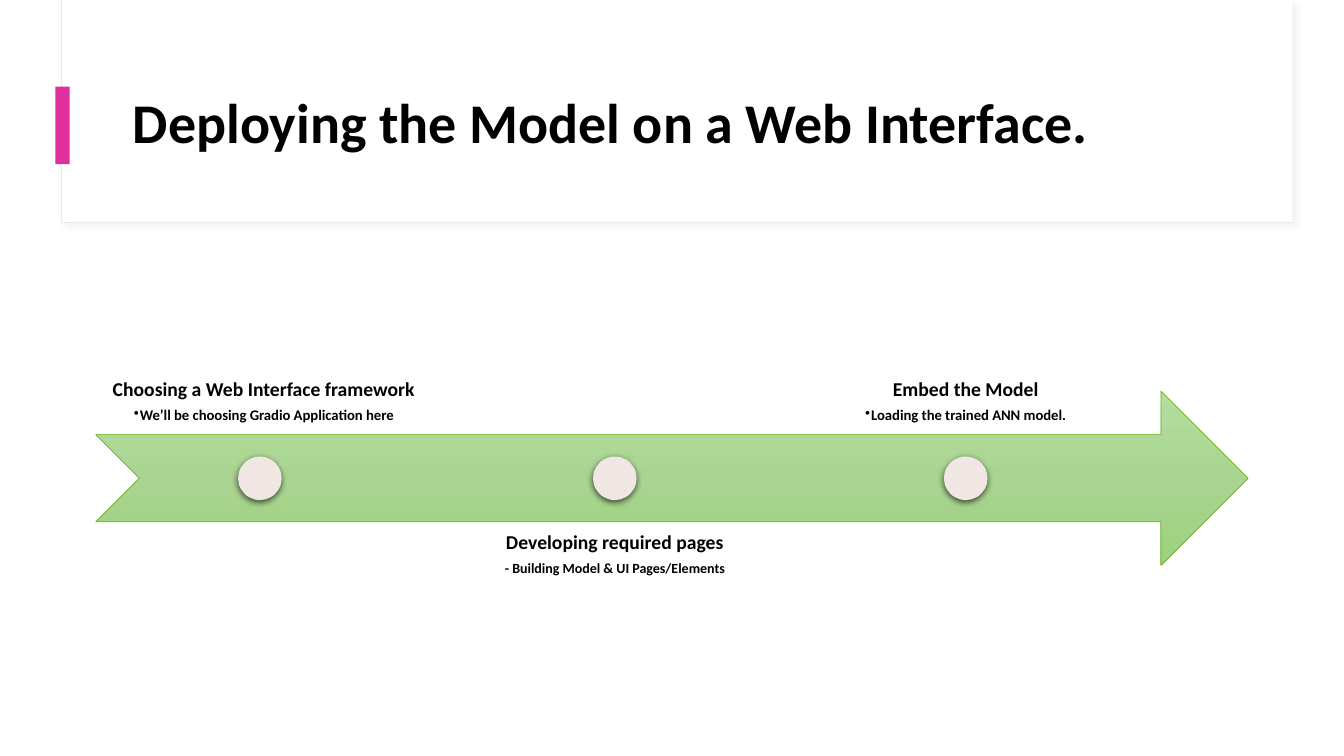
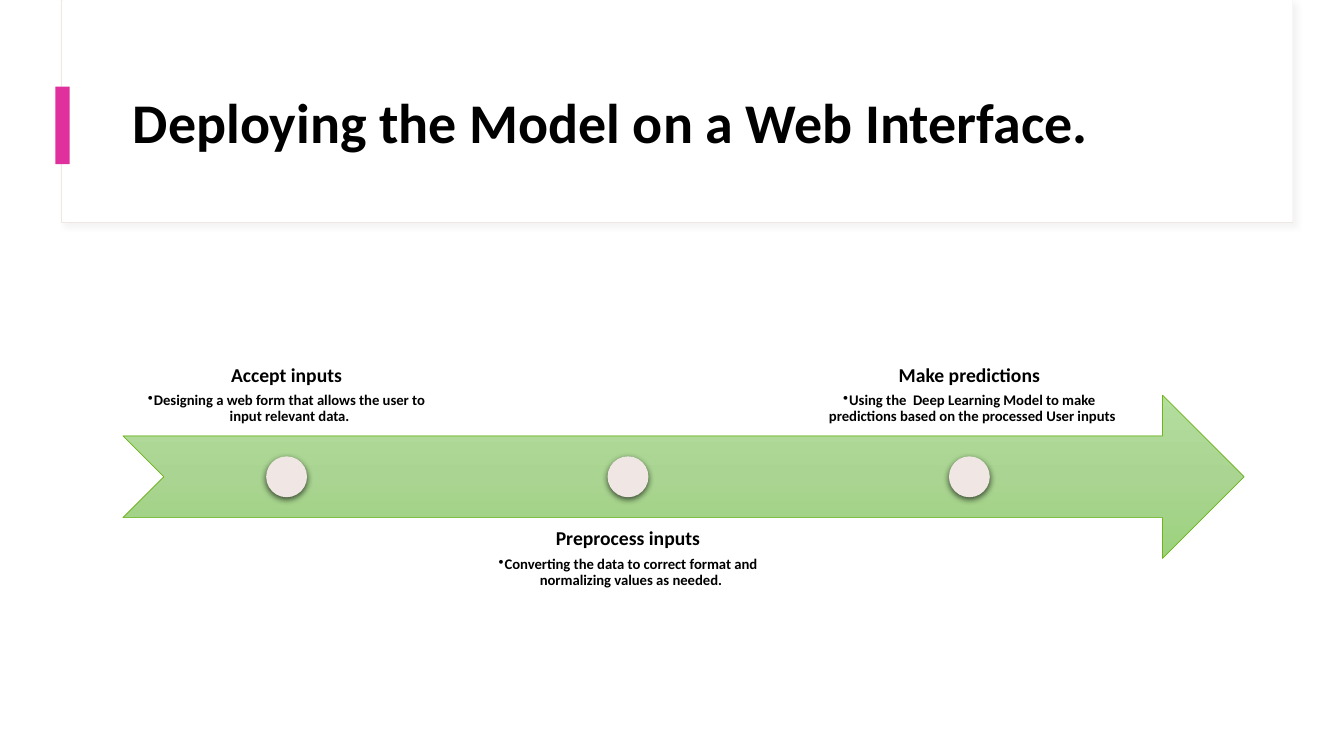
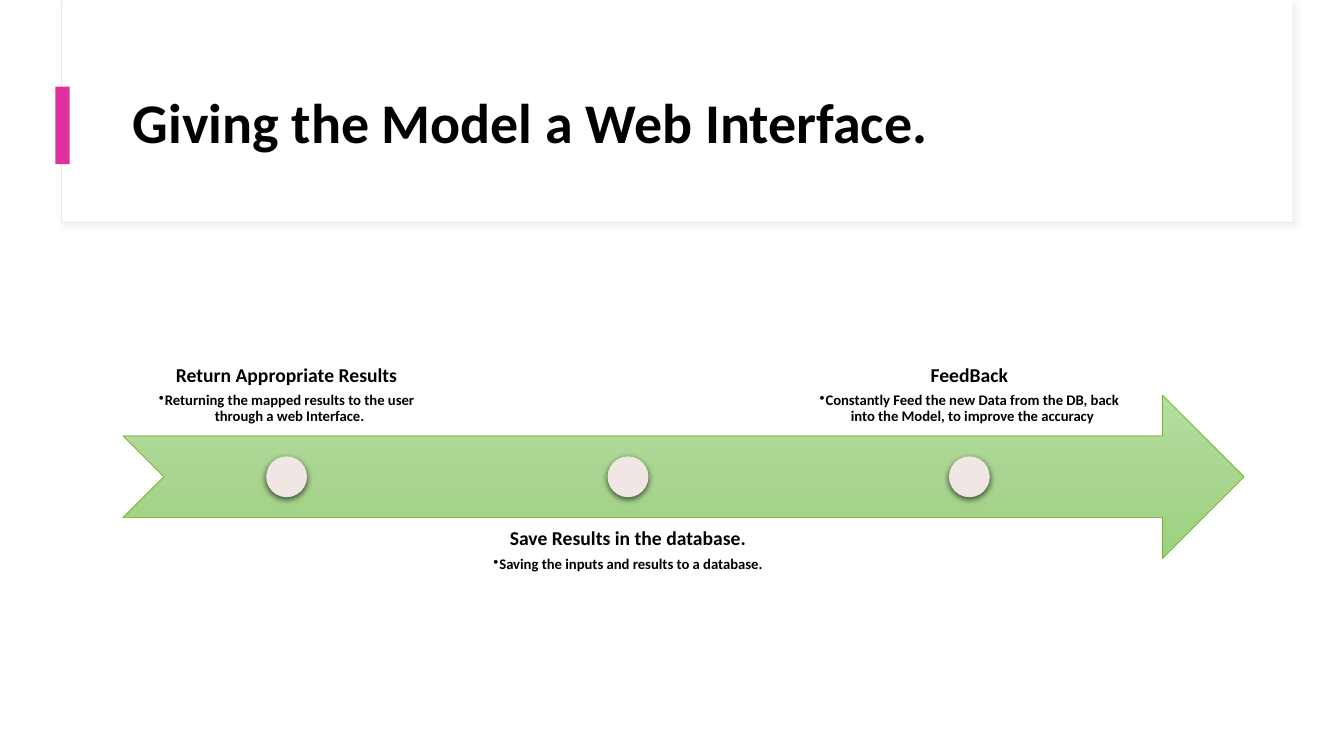
import copy

import lxml.etree
import pptx
import pptx.dml.color
import pptx.enum.shapes
import pptx.enum.text
import pptx.oxml
import pptx.oxml.ns
import pptx.util

Inches = pptx.util.Inches
Pt = pptx.util.Pt
SHAPE = pptx.enum.shapes.MSO_SHAPE
ANCHOR = pptx.enum.text.MSO_ANCHOR
ALIGN = pptx.enum.text.PP_ALIGN
qn = pptx.oxml.ns.qn


def colour(value):
    return pptx.dml.color.RGBColor.from_string(value)


class Deck:
    FONT = "Calibri"
    TEXT = "000000"
    PAPER = "FFFFFF"
    ACCENT = "E0309E"
    PALE = "F0E7E5"
    ARROW_STOPS = ("B4DE9E", "A9D491", "9CD27D")
    ARROW_LINE = "6EB51B"

    def __init__(self):
        self.deck = pptx.Presentation()
        self.deck.slide_width = Inches(13.33)
        self.deck.slide_height = Inches(7.5)
        self.page = None

    # Basic elements
    def shape(self, kind, left, top, width, height, fill=None, line=None, weight=0.75):
        shape = self.page.shapes.add_shape(
            kind, Inches(left), Inches(top), Inches(width), Inches(height))
        shape.shadow.inherit = False
        if fill:
            shape.fill.solid()
            shape.fill.fore_color.rgb = colour(fill)
        if line:
            shape.line.color.rgb = colour(line)
            shape.line.width = Pt(weight)
        else:
            shape.line.fill.background()
        return shape

    def shadow(self, shape, tone, opacity, blur, distance, angle):
        effects = shape._element.spPr.find(qn("a:effectLst"))
        outer = lxml.etree.SubElement(
            effects, qn("a:outerShdw"), blurRad=str(Pt(blur)), dist=str(Pt(distance)),
            dir=str(angle * 60000), algn="ctr", rotWithShape="0")
        tint = lxml.etree.SubElement(outer, qn("a:srgbClr"), val=tone)
        lxml.etree.SubElement(tint, qn("a:alpha"), val=str(opacity * 1000))

    def text_box(self, left, top, width, height, anchor, inset):
        box = self.page.shapes.add_textbox(
            Inches(left), Inches(top), Inches(width), Inches(height))
        frame = box.text_frame
        frame.word_wrap = True
        frame.vertical_anchor = anchor
        frame.margin_left = frame.margin_right = Inches(inset)
        frame.margin_top = frame.margin_bottom = Inches(inset)
        return frame

    def add_text(self, para, text, size, align=ALIGN.LEFT, after=0, bullet=False):
        para.alignment = align
        para.line_spacing = 0.9
        para.space_after = Pt(after)
        if bullet:
            props = para._p.get_or_add_pPr()
            props.set("marL", str(Inches(0.06)))
            props.set("indent", str(Inches(-0.06)))
            lxml.etree.SubElement(props, qn("a:buChar"), char="•")
        span = para.add_run()
        span.text = text
        span.font.name = self.FONT
        span.font.size = Pt(size)
        span.font.bold = True
        span.font.color.rgb = colour(self.TEXT)

    # Page with the framed title
    def new_page(self, title):
        self.page = self.deck.slides.add_slide(self.deck.slide_layouts[6])
        self.page.background.fill.solid()
        self.page.background.fill.fore_color.rgb = colour(self.PAPER)
        frame = self.shape(SHAPE.RECTANGLE, 0.61, 0, 12.21, 2.21, self.PAPER, self.PALE)
        self.shadow(frame, "D9D9D9", 30, 4, 3, 45)
        self.shape(SHAPE.RECTANGLE, 0.62, 0, 12.2, 2.2, self.PAPER)
        self.shape(SHAPE.RECTANGLE, 0.55, 0.86, 0.14, 0.77, self.ACCENT)
        heading = self.text_box(1.22, 0.6, 11.12, 1.29, ANCHOR.MIDDLE, 0.1)
        self.add_text(heading.paragraphs[0], title, 40)

    # Timeline parts
    def arrow(self, left, top, width, height):
        arrow = self.shape(SHAPE.NOTCHED_RIGHT_ARROW, left, top, width, height,
                           line=self.ARROW_LINE, weight=0.5)
        arrow.fill.gradient()
        arrow.fill.gradient_angle = 270
        first = arrow._element.spPr.find(".//" + qn("a:gs"))
        first.addnext(copy.deepcopy(first))
        first.getnext().set("pos", "50000")
        for stop, tone in zip(arrow.fill.gradient_stops, self.ARROW_STOPS):
            stop.color.rgb = colour(tone)

    def label(self, left, top, width, height, anchor, heading, detail, bullet):
        frame = self.text_box(left, top, width, height, anchor, 0.11)
        self.add_text(frame.paragraphs[0], heading, 14, ALIGN.CENTER, after=4.9)
        self.add_text(frame.add_paragraph(), detail, 10.5 if bullet else 10,
                      ALIGN.CENTER, after=1.6 if bullet else 3.5, bullet=bullet)

    def dot(self, centre, middle, size):
        dot = self.shape(SHAPE.OVAL, centre - size / 2, middle - size / 2,
                         size, size, self.PALE)
        self.shadow(dot, "000000", 63, 4.5, 1.5, 90)

    def timeline(self, left, top, width, height, steps, first_shift=0):
        """Labels alternate above and below the shaft, one dot for each."""
        self.arrow(left, top, width, height)
        label_width = 0.29 * width
        for index, (heading, detail, bullet) in enumerate(steps):
            label_left = left + 0.01 + index * 1.05 * label_width
            if index % 2:
                label_top, anchor = top + 0.75 * height, ANCHOR.TOP
            else:
                label_top, anchor = top - 0.75 * height, ANCHOR.BOTTOM
            self.label(label_left, label_top, label_width, height, anchor,
                       heading, detail, bullet)
            shift = first_shift if index == 0 else 0
            self.dot(label_left + label_width / 2 + shift, top + height / 2, height / 4)


DEPLOYING = "Deploying the Model on a Web Interface."
WIDE_ARROW = (0.95, 3.88, 11.43, 1.73)
ARROW = (1.22, 3.92, 11.12, 1.62)

# Title, arrow place, shift of the first dot, steps (heading, detail, bulleted)
PAGES = [
    (DEPLOYING, WIDE_ARROW, -0.04, [
        ("Choosing a Web Interface framework",
         "We’ll be choosing Gradio Application here", True),
        ("Developing required pages", "- Building Model & UI Pages/Elements", False),
        ("Embed the Model", "Loading the trained ANN model.", True),
    ]),
    (DEPLOYING, ARROW, 0, [
        ("Accept inputs",
         "Designing a web form that allows the user to input relevant data.", True),
        ("Preprocess inputs",
         "Converting the data to correct format and normalizing values as needed.", True),
        ("Make predictions",
         "Using the  Deep Learning Model to make predictions based on the "
         "processed User inputs", True),
    ]),
    ("Giving the Model a Web Interface.", ARROW, 0, [
        ("Return Appropriate Results",
         "Returning the mapped results to the user through a web Interface.", True),
        ("Save Results in the database.",
         "Saving the inputs and results to a database.", True),
        ("FeedBack",
         "Constantly Feed the new Data from the DB, back into the Model, "
         "to improve the accuracy", True),
    ]),
]


def main():
    show = Deck()
    for title, place, first_shift, steps in PAGES:
        show.new_page(title)
        show.timeline(*place, steps, first_shift)
    show.deck.save("out.pptx")


if __name__ == "__main__":
    main()
